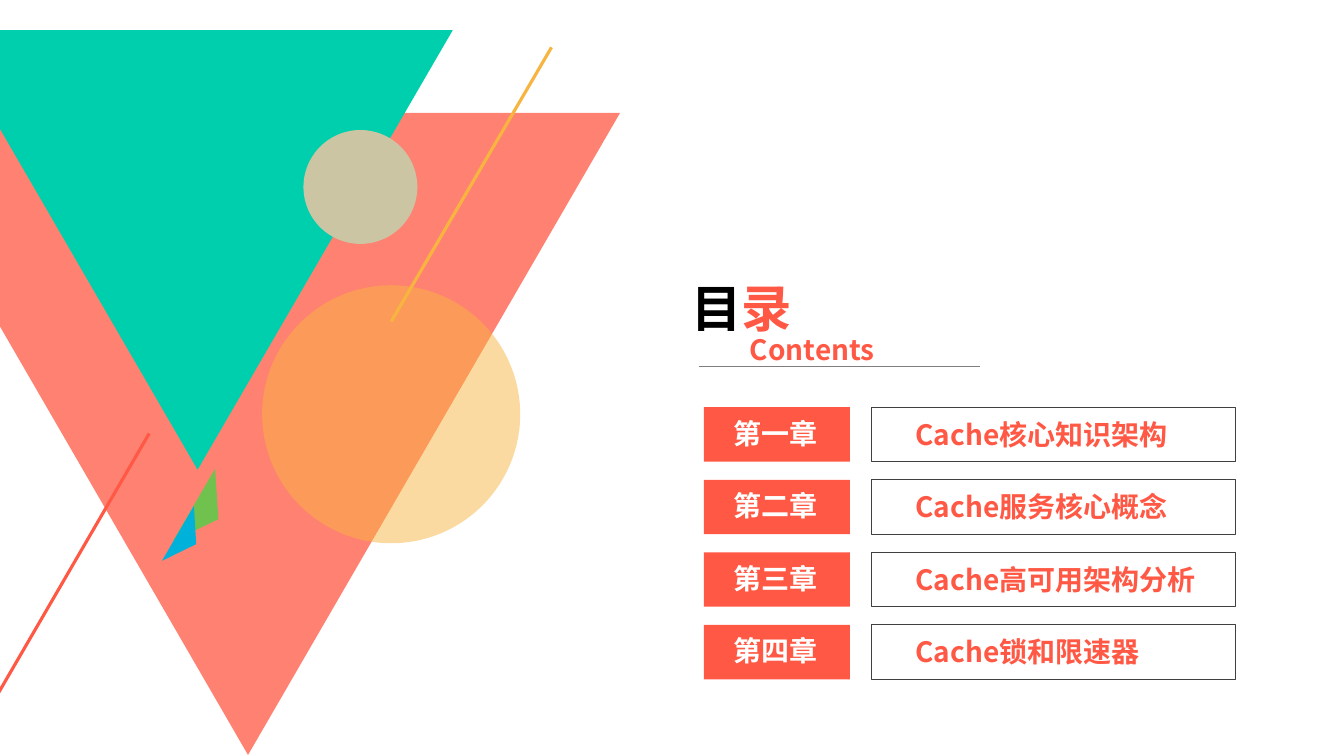
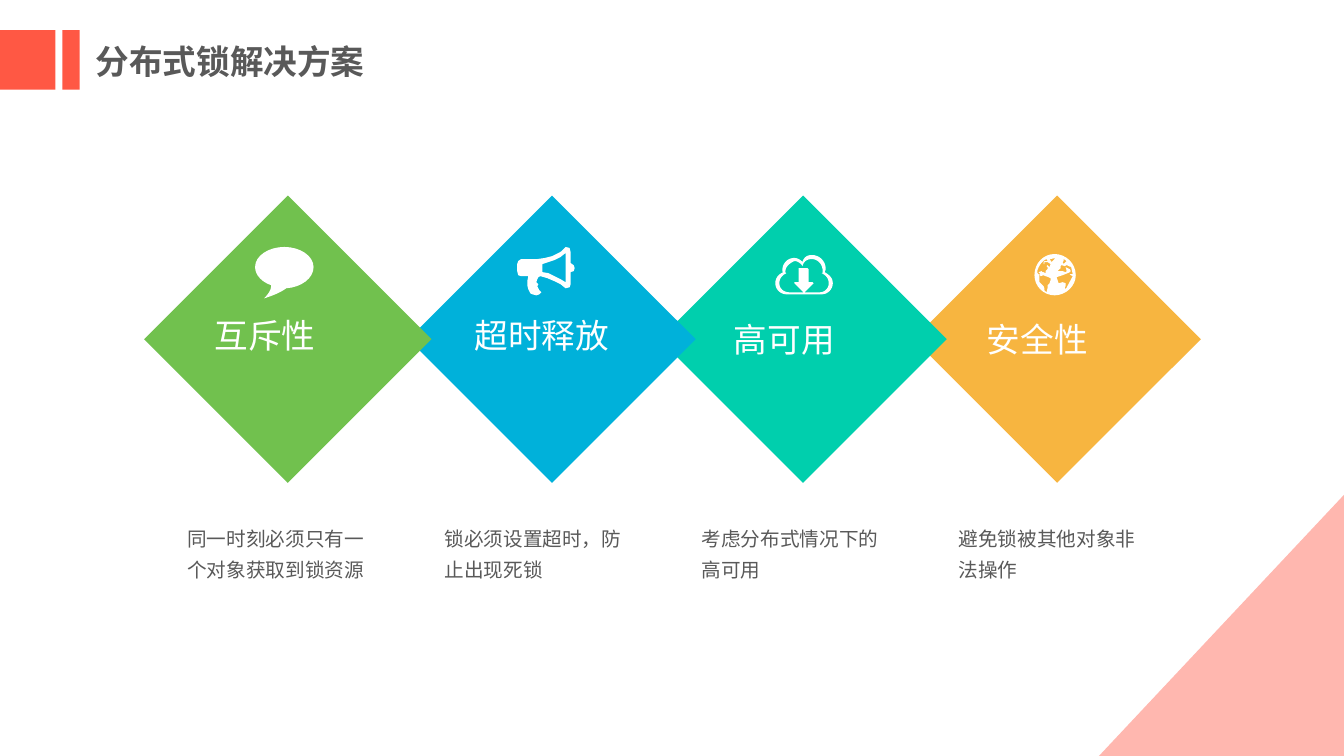
from lxml import etree
from pptx import Presentation
from pptx import util as u
from pptx.dml.color import RGBColor
from pptx.enum import shapes, text
from pptx.oxml.ns import qn

Inches = u.Inches
KIND = shapes.MSO_SHAPE
FONT = "Noto Sans CJK SC"
CORAL, TEAL, AMBER = "FF5844", "00CFAD", "F7B540"
GREEN, BLUE, WHITE, GRAY = "71C14E", "00B1DA", "FFFFFF", "595959"

CHAPTERS = [
    ("第一章", "Cache核心知识架构"),
    ("第二章", "Cache服务核心概念"),
    ("第三章", "Cache高可用架构分析"),
    ("第四章", "Cache锁和限速器"),
]
CHAPTER_TOP, CHAPTER_STEP = 4.04, 0.72

LARGE_TRIANGLE = [(0, 112), (615, 112), (246, 749), (0, 324)]
SMALL_TRIANGLE = [(0, 30), (449, 30), (196, 466), (0, 128)]

# Outlines in hundredths of an inch: pairs are corners,
# six numbers are a Bezier curve (two controls, then the end).
BUBBLE = [[
    (58, 20), (58, 9, 45, 0, 29, 0), (13, 0, 0, 9, 0, 20),
    (0, 28, 7, 35, 16, 38), (16, 41, 15, 45, 9, 51),
    (9, 51, 23, 47, 31, 41), (46, 40, 58, 31, 58, 20),
]]
MEGAPHONE = [
    [(57, 21), (56, 24), (53, 25), (53, 37), (52, 40), (48, 41), (43, 37),
     (37, 34), (30, 31), (23, 29), (21, 30), (20, 32), (19, 35), (21, 37),
     (20, 39), (21, 41), (22, 43), (24, 45), (22, 47), (19, 48), (15, 47),
     (13, 46), (11, 42), (10, 38), (10, 34), (11, 29), (4, 29), (1, 28),
     (0, 24), (0, 17), (1, 14), (4, 12), (20, 12), (27, 11), (35, 9),
     (43, 5), (48, 0), (52, 1), (53, 5), (53, 16), (56, 18)],
    [(48, 6), (43, 10), (37, 13), (31, 15), (25, 17), (25, 25), (31, 26),
     (37, 29), (43, 32), (48, 35)],
]
CLOUD = [
    [(49, 17), (49, 16, 50, 15, 50, 14), (50, 6, 44, 0, 36, 0),
     (28, 0, 27, 7, 27, 7), (27, 7, 23, 2, 17, 3), (11, 4, 7, 9, 7, 15),
     (7, 16, 7, 17, 8, 17), (3, 19, 0, 23, 0, 28), (0, 34, 5, 39, 11, 39),
     (46, 39), (52, 39, 57, 34, 57, 28), (57, 23, 54, 20, 49, 17)],
    [(44, 37), (29, 37), (38, 28), (37, 27), (33, 27), (33, 14), (32, 13),
     (23, 13), (23, 27), (19, 27), (19, 28), (28, 37), (14, 37),
     (8, 37, 4, 33, 4, 28), (4, 23, 7, 20, 11, 18), (10, 18, 10, 17, 10, 16),
     (10, 12, 14, 8, 19, 6), (24, 6, 27, 11, 27, 11), (27, 11, 28, 4, 36, 4),
     (42, 4, 47, 9, 47, 16), (47, 17, 47, 18, 46, 18),
     (50, 20, 53, 23, 53, 28), (53, 33, 49, 37, 44, 37)],
]
GLOBE = [
    [(20, 0), (9, 0, 0, 9, 0, 21), (0, 32, 9, 41, 20, 41),
     (31, 41, 41, 32, 41, 21), (41, 9, 31, 0, 20, 0)],
    [(28, 8), (29, 7), (29, 5), (32, 7), (29, 10)],
    [(16, 26), (15, 29), (14, 30), (13, 31), (13, 34), (12, 38), (10, 36),
     (10, 34), (9, 32), (7, 30), (5, 28), (5, 21), (4, 20), (3, 19), (3, 16),
     (6, 7, 12, 5, 12, 5), (13, 7), (10, 7), (9, 8), (9, 10), (10, 10),
     (10, 8), (13, 8), (16, 10), (15, 13), (14, 12), (13, 11), (12, 12),
     (13, 13), (13, 15), (11, 17), (11, 19), (9, 18), (8, 18), (7, 17),
     (4, 18), (5, 19), (6, 19), (5, 20), (6, 22), (9, 21), (11, 22),
     (14, 23), (16, 24)],
    [(20, 5), (18, 7), (17, 8), (15, 5), (16, 5), (21, 4)],
    [(36, 21), (38, 22), (31, 35), (30, 33), (31, 32), (31, 29), (28, 28),
     (24, 29), (22, 23), (28, 21), (33, 19), (35, 18), (36, 17), (35, 15),
     (31, 13), (32, 17), (31, 18), (28, 17), (27, 17), (23, 17), (25, 15),
     (26, 14), (26, 12), (27, 11), (30, 12), (32, 11), (34, 12), (36, 13),
     (36, 11), (38, 20), (35, 20)],
]

# heading, (left, top) of heading, diamond left, colour, icon, its place, caption
SOLUTIONS = [
    ("互斥性", (2.03, 2.96), 1.43, GREEN, BUBBLE, (2.53, 2.45),
     "同一时刻必须只有一个对象获取到锁资源"),
    ("超时释放", (4.61, 2.96), 4.05, BLUE, MEGAPHONE, (5.13, 2.45),
     "锁必须设置超时，防止出现死锁"),
    ("高可用", (7.18, 2.99), 6.54, TEAL, CLOUD, (7.69, 2.53),
     "考虑分布式情况下的高可用"),
    ("安全性", (9.69, 2.99), 9.06, AMBER, GLOBE, (10.26, 2.52),
     "避免锁被其他对象非法操作"),
]
CAPTION_LEFT, CAPTION_STEP = 1.76, 2.55


def rgb(value):
    return RGBColor.from_string(value)


def paint(shape, fill=None, opacity=100, line=None):
    shape.shadow.inherit = False
    if fill:
        shape.fill.solid()
        shape.fill.fore_color.rgb = rgb(fill)
        if opacity < 100:
            color = shape._element.spPr.find(".//" + qn("a:srgbClr"))
            etree.SubElement(color, qn("a:alpha")).set("val", str(opacity * 1000))
    else:
        shape.fill.background()
    if line:
        shape.line.color.rgb = rgb(line)
        shape.line.width = u.Pt(0.75)
    else:
        shape.line.fill.background()
    return shape


def add_shape(page, kind, left, top, width, height, fill=None, opacity=100, line=None):
    shape = page.shapes.add_shape(
        kind, Inches(left), Inches(top), Inches(width), Inches(height))
    return paint(shape, fill, opacity, line)


def flatten(outline, steps=8):
    """Turn corners and Bezier curves into a plain list of points."""
    points = [outline[0]]
    for part in outline[1:]:
        if len(part) == 2:
            points.append(part)
            continue
        controls = [points[-1], part[:2], part[2:4], part[4:]]
        for step in range(1, steps + 1):
            t = step / steps
            weights = ((1 - t) ** 3, 3 * t * (1 - t) ** 2, 3 * t * t * (1 - t), t ** 3)
            points.append(tuple(
                sum(w * c[axis] for w, c in zip(weights, controls)) for axis in (0, 1)))
    return points


def add_outline(page, outlines, fill, left=0, top=0, opacity=100):
    """Draw closed outlines as one shape; those after the first are holes."""
    builder = None
    for outline in outlines:
        start, *rest = [(Inches(left + x / 100), Inches(top + y / 100))
                        for x, y in flatten(outline)]
        if builder is None:
            builder = page.shapes.build_freeform(*start, scale=1.0)
        else:
            builder.move_to(*start)
        builder.add_line_segments(rest, close=True)
    return paint(builder.convert_to_shape(), fill, opacity)


def add_line(page, start, end, color, width):
    line = page.shapes.add_connector(
        shapes.MSO_CONNECTOR.STRAIGHT, *map(Inches, start + end))
    line.line.color.rgb = rgb(color)
    line.line.width = u.Pt(width)
    etree.SubElement(line._element.spPr, qn("a:effectLst"))


def add_text(page, left, top, width, height, spans, size, bold=False, spacing=None):
    """Add a one-paragraph box; spans are (words, colour) pairs."""
    box = page.shapes.add_textbox(
        Inches(left), Inches(top), Inches(width), Inches(height))
    frame = box.text_frame
    frame.word_wrap = True
    frame.auto_size = text.MSO_AUTO_SIZE.SHAPE_TO_FIT_TEXT
    para = frame.paragraphs[0]
    if spacing:
        para.line_spacing = spacing
    for words, color in spans:
        span = para.add_run()
        span.text = words
        span.font.size = u.Pt(size)
        span.font.bold = bold
        span.font.color.rgb = rgb(color)
        span.font.name = FONT
        etree.SubElement(span.font._element, qn("a:ea")).set("typeface", FONT)


def add_title_band(page, title):
    for left, width in ((0, 0.55), (0.62, 0.17)):
        add_shape(page, KIND.RECTANGLE, left, 0.3, width, 0.59, CORAL)
    add_text(page, 0.85, 0.36, 4.15, 0.51, [(title, GRAY)], 24, bold=True)


def add_contents_art(page):
    add_outline(page, [LARGE_TRIANGLE], CORAL, opacity=75)
    add_outline(page, [SMALL_TRIANGLE], TEAL)
    add_shape(page, KIND.OVAL, 2.6, 2.83, 2.56, 2.56, AMBER, opacity=49)
    add_line(page, (5.47, 0.47), (3.88, 3.19), AMBER, 2.25)
    add_line(page, (1.48, 4.3), (-0.1, 7.02), CORAL, 2.25)
    for left, top, width, height, color in (
            (1.63, 4.94, 0.83, 0.28, GREEN), (1.54, 5.24, 0.63, 0.21, BLUE)):
        shard = add_shape(page, KIND.ISOSCELES_TRIANGLE, left, top, width, height, color)
        shard.rotation = 120.2
    add_shape(page, KIND.OVAL, 3.01, 1.29, 1.13, 1.13, "CBC5A3")


def build_contents(page):
    add_contents_art(page)
    for index, (chapter, name) in enumerate(CHAPTERS):
        top = CHAPTER_TOP + index * CHAPTER_STEP
        add_shape(page, KIND.RECTANGLE, 8.64, top, 3.61, 0.54, line="404040")
        add_text(page, 8.98, top + 0.05, 3.25, 0.44, [(name, CORAL)], 20, bold=True)
        add_shape(page, KIND.RECTANGLE, 6.98, top, 1.45, 0.54, CORAL)
        add_text(page, 7.18, top + 0.04, 1.05, 0.44, [(chapter, WHITE)], 20, bold=True)
    add_text(page, 6.76, 2.7, 1.57, 0.71, [("目", "000000"), ("录", CORAL)], 36, bold=True)
    add_line(page, (6.93, 3.63), (9.72, 3.63), "7F7F7F", 0.5)
    add_text(page, 7.34, 3.25, 1.57, 0.44, [("Contents", CORAL)], 20, bold=True)


def build_solutions(page):
    add_title_band(page, "分布式锁解决方案")
    for _, _, left, color, *_ in reversed(SOLUTIONS):
        add_shape(page, KIND.DIAMOND, left, 1.94, 2.85, 2.85, color)
    for index, (heading, place, _, _, icon, icon_place, caption) in enumerate(SOLUTIONS):
        add_outline(page, icon, WHITE, *icon_place)
        add_text(page, *place, 1.59, 0.57, [(heading, WHITE)], 24, spacing=1.3)
        add_text(page, CAPTION_LEFT + index * CAPTION_STEP, 5.11, 2.12, 0.68,
                 [(caption, GRAY)], 14, spacing=1.3)
    corner = add_shape(page, KIND.RIGHT_TRIANGLE, 10.9, 4.91, 2.43, 2.59, "FFB7AF")
    corner._element.spPr.find(qn("a:xfrm")).set("flipH", "1")


def main():
    deck = Presentation()
    deck.slide_width, deck.slide_height = Inches(13.33), Inches(7.5)
    for build in (build_contents, build_solutions):
        build(deck.slides.add_slide(deck.slide_layouts[6]))
    deck.save("out.pptx")


if __name__ == "__main__":
    main()
